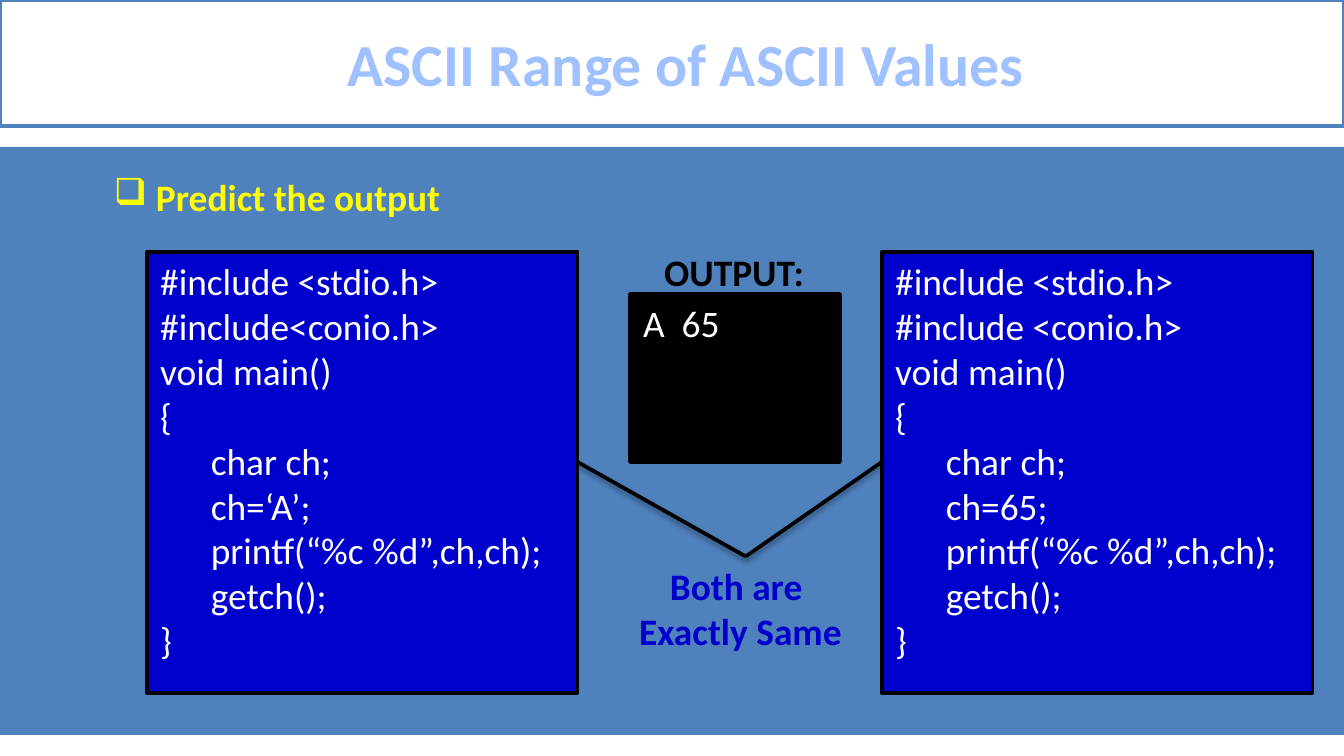
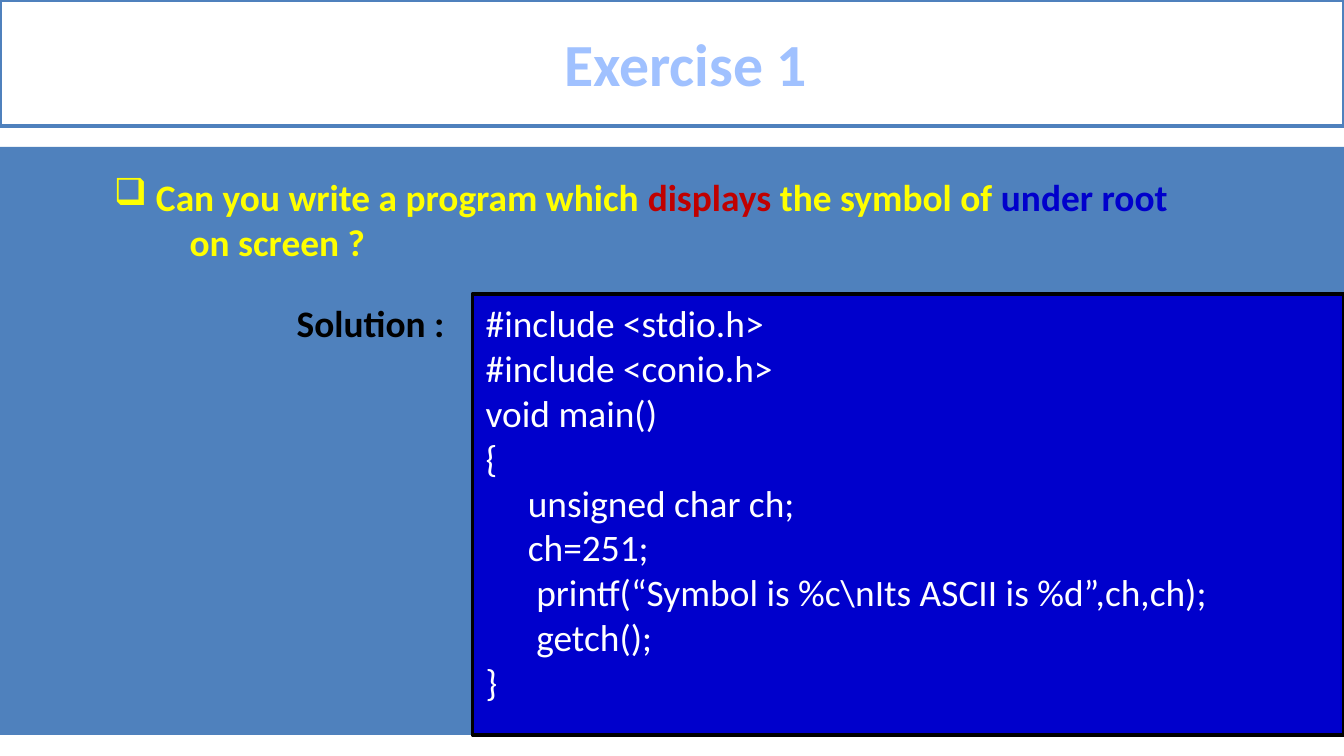
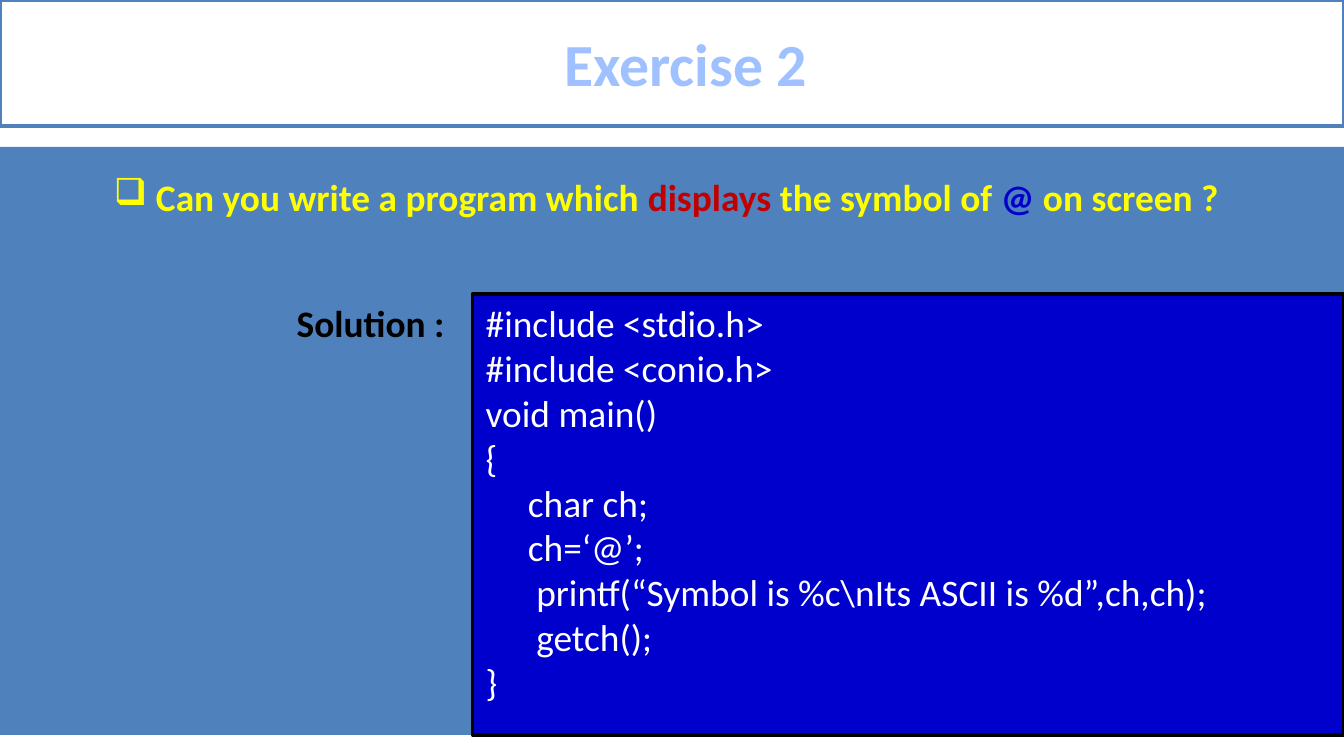
from dataclasses import dataclass

from lxml import etree
from pptx import Presentation
from pptx import util as u
from pptx.dml.color import RGBColor
from pptx.enum import shapes, text
from pptx.oxml import ns


@dataclass(frozen=True)
class Theme:
    font: str = "Calibri"
    title_size: float = 32
    body_size: float = 20
    line_width: float = 2
    white: str = "FFFFFF"
    black: str = "000000"
    band: str = "4F81BD"
    title: str = "A0C1FF"
    code: str = "0000CC"
    question: str = "FFFF00"
    accent: str = "C00000"


THEME = Theme()
LEFT, CENTER = text.PP_ALIGN.LEFT, text.PP_ALIGN.CENTER

# Content
HEADERS = ["#include <stdio.h>", "#include <conio.h>", "void main()", "{"]
PREDICT_END = ["      printf(“%c %d”,ch,ch);", "      getch();", "}"]
SYMBOL_END = [r"      printf(“Symbol is %c\nIts ASCII is %d”,ch,ch);", "      getch();", "}"]

PREDICT = {
    "title": "ASCII Range of ASCII Values",
    "question": [[(" Predict the output", THEME.question)]],
    "programs": [
        ["#include <stdio.h>", "#include<conio.h>", "void main()", "{",
         "      char ch;", "      ch=‘A’;"] + PREDICT_END,
        HEADERS + ["      char ch;", "      ch=65;"] + PREDICT_END,
    ],
    "output": ["A  65"],
    "verdict": ["Both are ", "Exactly Same"],
}
ASK = [(" Can you write a program which ", THEME.question),
       ("displays", THEME.accent), (" the symbol of ", THEME.question)]
EXERCISES = [
    {
        "title": "Exercise 1",
        "question": [ASK + [("under root", THEME.code)],
                     [("on screen ?", THEME.question)]],
        "program": HEADERS + ["     unsigned char ch;", "     ch=251;"] + SYMBOL_END,
    },
    {
        "title": "Exercise 2",
        "question": [ASK + [("@", THEME.code), (" on screen ?", THEME.question)]],
        "program": HEADERS + ["     char ch;", "     ch=‘@’;"] + SYMBOL_END,
    },
]

# Layout, in points
WIDTH, HEIGHT = 720, 405
TITLE_BOX = (0, 0, WIDTH, 67.5)
BAND_BOX = (0, 78.75, WIDTH, 315)
QUESTION_TOP, LINE_HEIGHT, BOX_PADDING = 90, 24, 7.5
QUESTION_INDENT, BULLET_HANG, CONTINUATION = 72, 18, 22.5
TITLE_INDENT = 15
PROGRAM_LEFTS, PROGRAM_TOP = (78.75, 472.5), 135
PROGRAM_WIDTH, PROGRAM_HEIGHT = 230.63, 236.25
OUTPUT_BOX = (337.5, 157.5, 112.5, 90)
OUTPUT_LABEL_BOX = (348.75, 129.75, 99.4, 31.5)
VERDICT_BOX = (331.9, 298.1, 129.6, 55.4)
MEETING_POINT = (399.5, 298.1)
SOLUTION_LEFT, SOLUTION_TOP = 253.13, 157.5
SOLUTION_LABEL_WIDTH = 101.25


def points(values):
    return [u.Pt(value) for value in values]


def set_attributes(target, values):
    for name, value in values.items():
        setattr(target, name, value)


def write(shape, lines, color=THEME.white, size=THEME.body_size, bold=False,
          align=LEFT, anchor=text.MSO_ANCHOR.TOP):
    """Fill a shape with lines: plain strings, or lists of (words, color)."""
    frame = shape.text_frame
    set_attributes(frame, {"word_wrap": True, "vertical_anchor": anchor})
    for index, line in enumerate(lines):
        paragraph = frame.add_paragraph() if index else frame.paragraphs[0]
        paragraph.alignment = align
        for words, run_color in [(line, color)] if isinstance(line, str) else line:
            run = paragraph.add_run()
            run.text = words
            set_attributes(run.font, {"name": THEME.font, "size": u.Pt(size), "bold": bold})
            run.font.color.rgb = RGBColor.from_string(run_color)
    return frame.paragraphs


def indent(paragraph, left, first=0):
    properties = paragraph._p.get_or_add_pPr()
    properties.set("marL", str(u.Pt(left)))
    properties.set("indent", str(u.Pt(first)))
    return properties


def add_box(slide, box, fill, line=None):
    shape = slide.shapes.add_shape(shapes.MSO_SHAPE.RECTANGLE, *points(box))
    shape.shadow.inherit = False
    shape.fill.solid()
    shape.fill.fore_color.rgb = RGBColor.from_string(fill)
    if line:
        shape.line.color.rgb = RGBColor.from_string(line)
        shape.line.width = u.Pt(THEME.line_width)
    else:
        shape.line.fill.background()
    return shape


def add_label(slide, box, lines, color=THEME.black, align=LEFT):
    write(slide.shapes.add_textbox(*points(box)), lines, color, bold=True, align=align)


def add_code(slide, box, lines, fill=THEME.code):
    write(add_box(slide, box, fill, THEME.black), lines)


def add_link(slide, start, end):
    connector = slide.shapes.add_connector(
        shapes.MSO_CONNECTOR.STRAIGHT, *points(start + end))
    connector.line.color.rgb = RGBColor.from_string(THEME.black)
    connector.line.width = u.Pt(THEME.line_width)
    effects = etree.SubElement(connector._element.spPr, ns.qn("a:effectLst"))
    shadow = etree.SubElement(effects, ns.qn("a:outerShdw"), blurRad=str(u.Pt(3.1)),
                              dist=str(u.Pt(1.6)), dir="5400000", rotWithShape="0")
    color = etree.SubElement(shadow, ns.qn("a:srgbClr"), val=THEME.black)
    etree.SubElement(color, ns.qn("a:alpha"), val="38000")


def add_question(slide, lines):
    height = LINE_HEIGHT * len(lines) + BOX_PADDING
    textbox = slide.shapes.add_textbox(*points((0, QUESTION_TOP, WIDTH, height)))
    first, *others = write(textbox, lines, bold=True)
    properties = indent(first, QUESTION_INDENT, -BULLET_HANG)
    etree.SubElement(properties, ns.qn("a:buChar"), char="❑")
    for paragraph in others:
        indent(paragraph, QUESTION_INDENT + CONTINUATION)


def add_base(presentation, content):
    """Start a slide with the band, title and question that all slides share."""
    slide = presentation.slides.add_slide(presentation.slide_layouts[6])
    add_box(slide, BAND_BOX, THEME.band)
    title = add_box(slide, TITLE_BOX, THEME.white, THEME.band)
    paragraphs = write(title, [content["title"]], THEME.title, THEME.title_size, True,
                       CENTER, text.MSO_ANCHOR.MIDDLE)
    indent(paragraphs[0], TITLE_INDENT)
    add_question(slide, content["question"])
    return slide


def add_predict_slide(presentation, content):
    slide = add_base(presentation, content)
    for left, program in zip(PROGRAM_LEFTS, content["programs"]):
        add_code(slide, (left, PROGRAM_TOP, PROGRAM_WIDTH, PROGRAM_HEIGHT), program)
    add_code(slide, OUTPUT_BOX, content["output"], THEME.black)
    add_label(slide, OUTPUT_LABEL_BOX, ["OUTPUT:"])
    # Links from the inner edges of both programs to the verdict
    link_top = OUTPUT_BOX[1] + OUTPUT_BOX[3]
    for edge in (PROGRAM_LEFTS[0] + PROGRAM_WIDTH, PROGRAM_LEFTS[1]):
        add_link(slide, (edge, link_top), MEETING_POINT)
    add_label(slide, VERDICT_BOX, content["verdict"], THEME.code, CENTER)


def add_exercise_slide(presentation, content):
    slide = add_base(presentation, content)
    add_code(slide, (SOLUTION_LEFT, SOLUTION_TOP, WIDTH - SOLUTION_LEFT, PROGRAM_HEIGHT),
             content["program"])
    add_label(slide, (SOLUTION_LEFT - SOLUTION_LABEL_WIDTH, SOLUTION_TOP,
                      SOLUTION_LABEL_WIDTH, LINE_HEIGHT + BOX_PADDING), ["Solution :"])


def main():
    presentation = Presentation()
    set_attributes(presentation, {"slide_width": u.Pt(WIDTH), "slide_height": u.Pt(HEIGHT)})
    add_predict_slide(presentation, PREDICT)
    for exercise in EXERCISES:
        add_exercise_slide(presentation, exercise)
    presentation.save("out.pptx")


if __name__ == "__main__":
    main()
